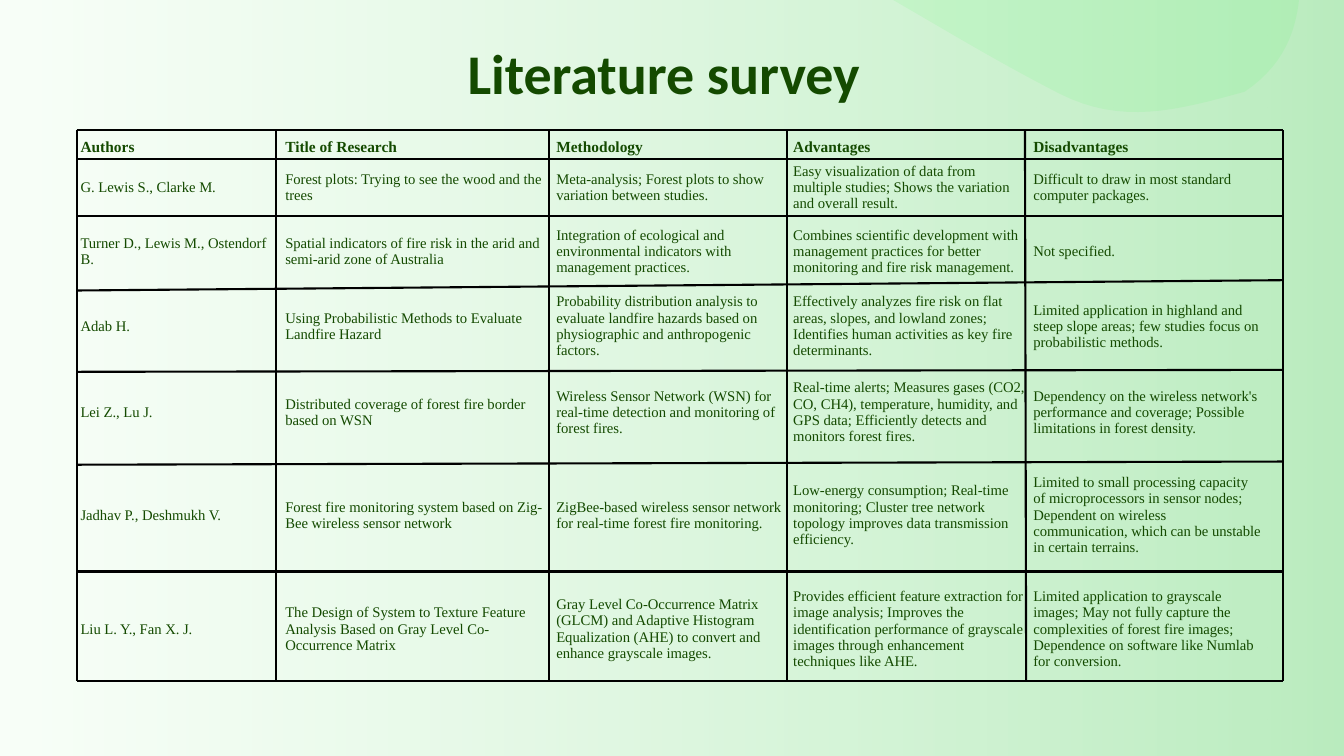
from lxml import etree
from pptx import Presentation
from pptx.dml.color import RGBColor
from pptx.enum.shapes import MSO_CONNECTOR, MSO_SHAPE
from pptx.enum.text import MSO_ANCHOR, MSO_AUTO_SIZE, PP_ALIGN
from pptx.oxml.ns import qn
from pptx.util import Cm, Pt

STRAIGHT = MSO_CONNECTOR.STRAIGHT
RECTANGLE = MSO_SHAPE.RECTANGLE
MIDDLE = MSO_ANCHOR.MIDDLE
NO_AUTOFIT = MSO_AUTO_SIZE.NONE
CENTER = PP_ALIGN.CENTER

WIDTH, HEIGHT = 33.87, 19.05
LEFT, RIGHT, TOP, BOTTOM = 1.93, 32.33, 3.28, 17.15
COLUMN_WIDTHS = [5.16, 6.83, 5.97, 6.05, 5.99]
ROW_HEIGHTS = [0.56, 1.47, 1.75, 2.03, 2.31, 2.87, 2.87]
COLUMN_RULES = [(LEFT, LEFT), (6.96, 6.96), (13.84, 13.84), (19.84, 19.84),
                (25.83, 25.86), (RIGHT, RIGHT)]
ROW_RULES = [(TOP, TOP), (4.01, 4.01), (5.44, 5.44), (7.32, 7.06), (9.37, 9.32),
             (11.71, 11.63), (14.4, 14.4), (BOTTOM, BOTTOM)]
LEAF_START = (21.67, -0.48)
LEAF_CURVES = [
    [(23.34, 0.46), (24.87, 1.42), (26.7, 2.36)],
    [(28.27, 3.15), (29.64, 2.79), (31.37, 2.31)],
    [(32.54, 1.52), (32.72, 0.48), (32.77, -0.38)],
    [(29.18, -0.48), (27.15, -0.33), LEAF_START],
]

SURVEY = [
    ["Authors", "Title of Research", "Methodology", "Advantages", "Disadvantages"],
    ["G. Lewis S., Clarke M.",
     "Forest plots: Trying to see the wood and the trees",
     "Meta-analysis; Forest plots to show variation between studies.",
     "Easy visualization of data from multiple studies; Shows the variation and overall result.",
     "Difficult to draw in most standard computer packages."],
    ["Turner D., Lewis M., Ostendorf B.",
     "Spatial indicators of fire risk in the arid and semi-arid zone of Australia",
     "Integration of ecological and environmental indicators with management practices.",
     "Combines scientific development with management practices for better monitoring "
     "and fire risk management.",
     "Not specified."],
    ["Adab H.",
     "Using Probabilistic Methods to Evaluate Landfire Hazard",
     "Probability distribution analysis to evaluate landfire hazards based on "
     "physiographic and anthropogenic factors.",
     "Effectively analyzes fire risk on flat areas, slopes, and lowland zones; "
     "Identifies human activities as key fire determinants.",
     "Limited application in highland and steep slope areas; few studies focus on "
     "probabilistic methods."],
    ["Lei Z., Lu J.",
     "Distributed coverage of forest fire border based on WSN",
     "Wireless Sensor Network (WSN) for real-time detection and monitoring of forest fires.",
     "Real-time alerts; Measures gases (CO2, CO, CH4), temperature, humidity, and GPS data; "
     "Efficiently detects and monitors forest fires.",
     "Dependency on the wireless network's performance and coverage; Possible limitations "
     "in forest density."],
    ["Jadhav P., Deshmukh V.",
     "Forest fire monitoring system based on Zig-Bee wireless sensor network",
     "ZigBee-based wireless sensor network for real-time forest fire monitoring.",
     "Low-energy consumption; Real-time monitoring; Cluster tree network topology improves "
     "data transmission efficiency.",
     "Limited to small processing capacity of microprocessors in sensor nodes; Dependent on "
     "wireless communication, which can be unstable in certain terrains."],
    ["Liu L. Y., Fan X. J.",
     "The Design of System to Texture Feature Analysis Based on Gray Level Co-Occurrence Matrix",
     "Gray Level Co-Occurrence Matrix (GLCM) and Adaptive Histogram Equalization (AHE) to "
     "convert and enhance grayscale images.",
     "Provides efficient feature extraction for image analysis; Improves the identification "
     "performance of grayscale images through enhancement techniques like AHE.",
     "Limited application to grayscale images; May not fully capture the complexities of "
     "forest fire images; Dependence on software like Numlab for conversion."],
]


def color(value):
    """Turn a hex string into a colour."""
    return RGBColor.from_string(value)


def set_opacity(shape, percents):
    """Give each colour of the shape's fill its opacity."""
    for tone, percent in zip(shape.element.spPr.iter(qn("a:srgbClr")), percents):
        etree.SubElement(tone, qn("a:alpha"), val=str(percent * 1000))


def curve_points(start, curves, steps=16):
    """Yield points along a chain of cubic curves."""
    for first, second, end in curves:
        for step in range(1, steps + 1):
            t = step / steps
            yield tuple((1 - t) ** 3 * a + 3 * (1 - t) ** 2 * t * b
                        + 3 * (1 - t) * t ** 2 * c + t ** 3 * d
                        for a, b, c, d in zip(start, first, second, end))
        start = end


class SurveySlide:
    """Hold the slide and its style."""

    ink = "144A00"
    title_font = "Calibri"
    table_font = "Times New Roman"

    def __init__(self, deck):
        """Add the page with its pale background."""
        self.page = deck.slides.add_slide(deck.slide_layouts[5])
        self.page.background.fill.solid()
        self.page.background.fill.fore_color.rgb = color("F7FFF7")

    def add_span(self, para, text, font, size, bold):
        """Add one styled run."""
        span = para.add_run()
        span.text = text
        span.font.name = font
        span.font.size = Pt(size)
        span.font.bold = bold
        span.font.color.rgb = color(self.ink)

    def gradient(self):
        """Wash the whole page from white to green."""
        box = self.page.shapes.add_shape(RECTANGLE, 0, 0, Cm(WIDTH), Cm(HEIGHT))
        box.shadow.inherit = False
        box.line.fill.background()
        box.fill.gradient()
        box.fill.gradient_angle = 0
        for stop, tone in zip(box.fill.gradient_stops, ["FFFFFF", "00B212"]):
            stop.color.rgb = color(tone)
        set_opacity(box, [18, 25])

    def leaf(self):
        """Draw the faint curved outline at the top right."""
        builder = self.page.shapes.build_freeform(*map(Cm, LEAF_START))
        builder.add_line_segments(
            [(Cm(x), Cm(y)) for x, y in curve_points(LEAF_START, LEAF_CURVES)], close=True)
        shape = builder.convert_to_shape()
        shape.shadow.inherit = False
        shape.line.fill.background()
        shape.fill.solid()
        shape.fill.fore_color.rgb = color("38FF4C")
        set_opacity(shape, [9])

    def title(self, text):
        """Fill the title placeholder and lift it above the backdrop."""
        box = self.page.shapes.title
        box.element.getparent().append(box.element)
        box.left, box.top, box.width, box.height = Cm(4.34), Cm(0.18), Cm(24.77), Cm(3.25)
        frame = box.text_frame
        frame.auto_size = NO_AUTOFIT
        frame.vertical_anchor = MIDDLE
        frame.margin_left = frame.margin_right = frame.margin_top = frame.margin_bottom = 0
        para = frame.paragraphs[0]
        para.alignment = CENTER
        self.add_span(para, text, self.title_font, 40, True)

    def table(self, rows):
        """Add the survey table without fills or borders."""
        table = self.page.shapes.add_table(
            len(rows), len(rows[0]), Cm(LEFT), Cm(3.43),
            Cm(sum(COLUMN_WIDTHS)), Cm(sum(ROW_HEIGHTS))).table
        table.horz_banding = False
        for column, width in zip(table.columns, COLUMN_WIDTHS):
            column.width = Cm(width)
        for index, (row, height) in enumerate(zip(table.rows, ROW_HEIGHTS)):
            row.height = Cm(height)
            for cell, text in zip(row.cells, rows[index]):
                self.cell(cell, text, header=index == 0)

    def cell(self, cell, text, header):
        """Format and fill one table cell."""
        cell.margin_left = cell.margin_right = Cm(0.1)
        cell.margin_top = cell.margin_bottom = Cm(0.05)
        cell.vertical_anchor = MIDDLE
        properties = cell._tc.get_or_add_tcPr()
        for side in ("a:lnL", "a:lnR", "a:lnT", "a:lnB"):
            etree.SubElement(etree.SubElement(properties, qn(side)), qn("a:noFill"))
        cell.fill.background()
        self.add_span(cell.text_frame.paragraphs[0], text, self.table_font,
                      11 if header else 10.5, header)

    def rule(self, x1, y1, x2, y2):
        """Draw one black grid line."""
        line = self.page.shapes.add_connector(STRAIGHT, Cm(x1), Cm(y1), Cm(x2), Cm(y2))
        line.line.color.rgb = color("000000")
        line.line.width = Pt(1.5)
        etree.SubElement(line.element.spPr, qn("a:effectLst"))


def main():
    """Build and save the deck."""
    deck = Presentation()
    deck.slide_width, deck.slide_height = Cm(WIDTH), Cm(HEIGHT)
    slide = SurveySlide(deck)
    slide.gradient()
    slide.leaf()
    slide.title("Literature survey")
    slide.table(SURVEY)
    for start, end in COLUMN_RULES:
        slide.rule(start, TOP, end, BOTTOM)
    for start, end in ROW_RULES:
        slide.rule(LEFT, start, RIGHT, end)
    deck.save("out.pptx")


if __name__ == "__main__":
    main()
